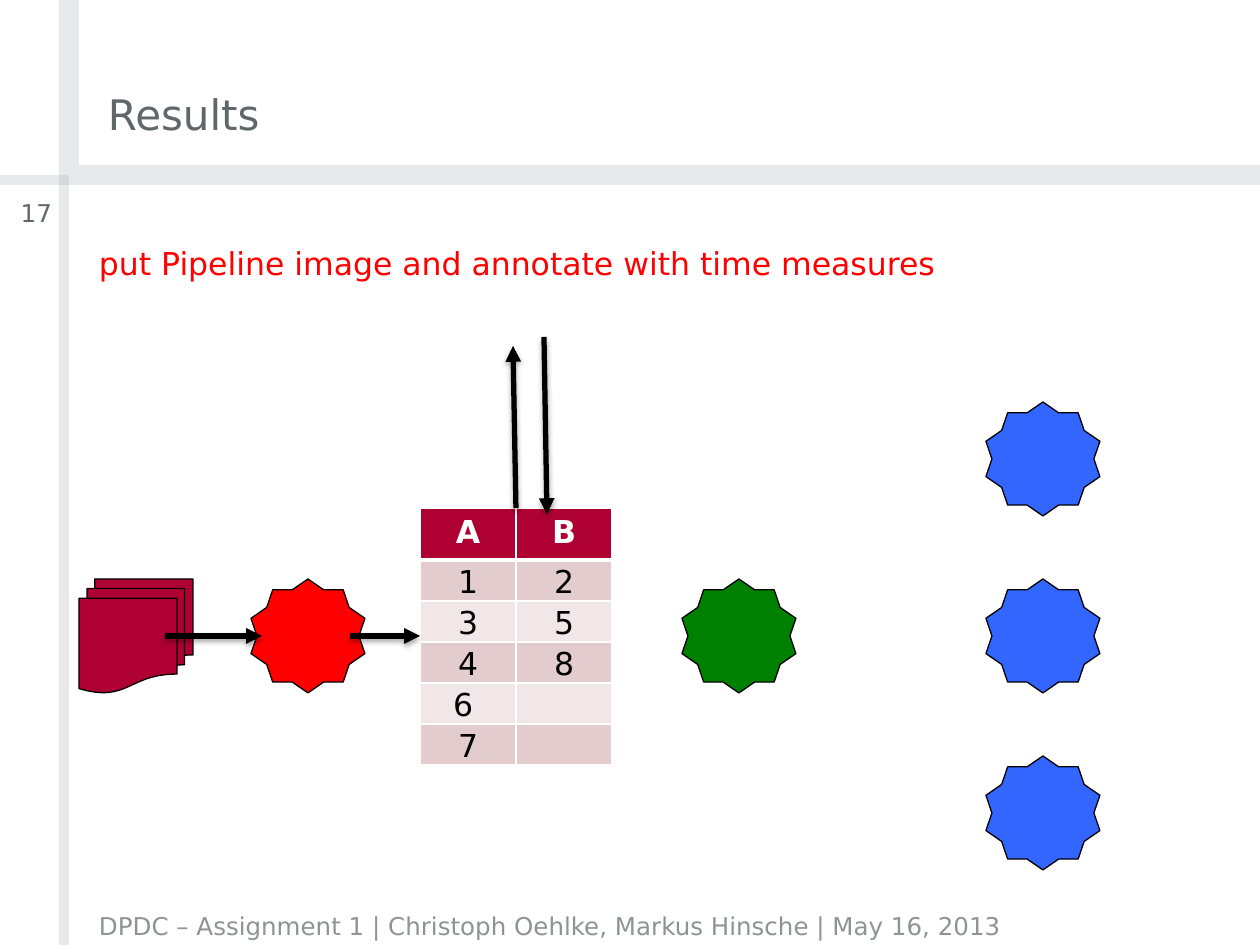
from dataclasses import dataclass, field
from lxml.etree import SubElement
from pptx import Presentation
from pptx.dml.color import RGBColor
from pptx.enum.shapes import MSO_CONNECTOR, MSO_SHAPE as SHAPE
from pptx.enum.text import MSO_ANCHOR as ANCHOR, PP_ALIGN as ALIGN
from pptx.oxml.ns import qn
from pptx.util import Pt

PX = 914400 // 126
FONT = "DejaVu Sans"
BLACK, WHITE, CRIMSON, BLUE = "000000", "FFFFFF", "AF0034", "3366FF"
SLATE, GREY = "60676A", "8E9496"


@dataclass
class Label:
    text: str
    box: tuple[int, int, int, int]
    size: int
    color: str
    frame: dict = field(default_factory=dict)
    para: dict = field(default_factory=dict)


@dataclass
class Node:
    kind: SHAPE
    x: int
    y: int
    color: str


@dataclass
class Arrow:
    start: tuple[int, int]
    end: tuple[int, int]


RAILS = [(59, 0, 20, 165), (59, 165, 1201, 20), (59, 185, 10, 760), (0, 175, 69, 10)]
LABELS = [
    Label("Results", (108, 0, 861, 139), 24, SLATE, {"vertical_anchor": ANCHOR.BOTTOM}),
    Label("put Pipeline image and annotate with time measures", (99, 238, 1126, 660),
          18, "FF0000", para={"line_spacing": 1.15, "space_before": Pt(5.4)}),
    Label("DPDC – Assignment 1 | Christoph Oehlke, Markus Hinsche | May 16, 2013",
          (99, 905, 1126, 35), 14, GREY, {"vertical_anchor": ANCHOR.BOTTOM}),
    Label("17", (0, 198, 52, 45), 14, SLATE, para={"alignment": ALIGN.RIGHT}),
]
NODE_SIZE, MID_Y, STEP = 114, 579, 177
NODES = [
    Node(SHAPE.FLOWCHART_MULTIDOCUMENT, 79, MID_Y, CRIMSON),
    Node(SHAPE.STAR_10_POINT, 251, MID_Y, "FF0000"),
    Node(SHAPE.STAR_10_POINT, 682, MID_Y, "008000"),
    *(Node(SHAPE.STAR_10_POINT, 986, MID_Y + i * STEP, BLUE) for i in (-1, 0, 1)),
]
ROWS = [("A", "B"), ("1", "2"), ("3", "5"), ("4", "8"), ("6 ", ""), ("7", "")]
TABLE_X, TABLE_Y, COL_W, HEAD_H, ROW_H = 420, 508, 96, 52, 41
ARROWS = [
    Arrow((165, 636), (262, 636)),
    Arrow((350, 636), (420, 636)),
    Arrow((516, 508), (513, 346)),
    Arrow((544, 337), (547, 514)),
]


def px(*values: int) -> list[int]:
    return [v * PX for v in values]


def rgb(color: str) -> RGBColor:
    return RGBColor.from_string(color)


def apply(target, values: dict) -> None:
    for name, value in values.items():
        setattr(target, name, value)


def margins(left: int, top: int, right: int, bottom: int) -> dict:
    names = ("margin_left", "margin_top", "margin_right", "margin_bottom")
    return dict(zip(names, px(left, top, right, bottom)))


def write(p, text: str, size: int, color: str, bold: bool = False) -> None:
    r = p.add_run()
    r.text = text
    apply(r.font, {"name": FONT, "size": Pt(size), "bold": bold})
    r.font.color.rgb = rgb(color)


def add_filled(shapes, kind: SHAPE, box: tuple, color: str):
    s = shapes.add_shape(kind, *px(*box))
    s.shadow.inherit = False
    s.fill.solid()
    s.fill.fore_color.rgb = rgb(color)
    return s


def add_rail(shapes, box: tuple) -> None:
    s = add_filled(shapes, SHAPE.RECTANGLE, box, GREY)
    s.line.fill.background()
    clr = s.fill._xPr.find(f".//{qn('a:srgbClr')}")
    SubElement(clr, qn("a:alpha"), val="20000")


def add_label(shapes, label: Label) -> None:
    tf = shapes.add_textbox(*px(*label.box)).text_frame
    apply(tf, {"word_wrap": True, **margins(0, 0, 0, 0), **label.frame})
    p = tf.paragraphs[0]
    apply(p, label.para)
    write(p, label.text, label.size, label.color)


def add_node(shapes, node: Node) -> None:
    s = add_filled(shapes, node.kind, (node.x, node.y, NODE_SIZE, NODE_SIZE), node.color)
    s.line.color.rgb = rgb(BLACK)
    s.line.width = Pt(0.75)


def add_borders(cell, bottom: int, top: int) -> None:
    tcPr = cell._tc.get_or_add_tcPr()
    for side, width in {"L": 1, "R": 1, "T": top, "B": bottom}.items():
        ln = SubElement(tcPr, qn(f"a:ln{side}"), w=str(Pt(width)))
        fill = SubElement(ln, qn("a:solidFill"))
        SubElement(fill, qn("a:srgbClr"), val=WHITE)


def add_values(shapes) -> None:
    height = HEAD_H + ROW_H * (len(ROWS) - 1)
    tbl = shapes.add_table(len(ROWS), 2, *px(TABLE_X, TABLE_Y, 2 * COL_W, height)).table
    for col in tbl.columns:
        col.width = COL_W * PX
    for i, values in enumerate(ROWS):
        head = i == 0
        tbl.rows[i].height = (HEAD_H if head else ROW_H) * PX
        for cell, text in zip(tbl.rows[i].cells, values):
            if not head:
                apply(cell, {"vertical_anchor": ANCHOR.BOTTOM, **margins(1, 1, 1, 0)})
            add_borders(cell, bottom=3 if head else 1, top=3 if i == 1 else 1)
            cell.fill.solid()
            cell.fill.fore_color.rgb = rgb(CRIMSON if head else ("F2E7E8", "E3CCCE")[i % 2])
            p = cell.text_frame.paragraphs[0]
            p.alignment = ALIGN.CENTER
            write(p, text, 18, WHITE if head else BLACK, head)


def add_arrow(shapes, arrow: Arrow) -> None:
    s = shapes.add_connector(MSO_CONNECTOR.STRAIGHT, *px(*arrow.start, *arrow.end))
    s.line.color.rgb = rgb(BLACK)
    s.line.width = Pt(3)
    SubElement(s.line._get_or_add_ln(), qn("a:tailEnd"), type="triangle")
    effects = SubElement(s._element.spPr, qn("a:effectLst"))
    shadow = SubElement(effects, qn("a:outerShdw"), blurRad=str(Pt(3.1)),
                        dist=str(Pt(1.8)), dir="5400000", rotWithShape="0")
    clr = SubElement(shadow, qn("a:srgbClr"), val=BLACK)
    SubElement(clr, qn("a:alpha"), val="35000")


prs = Presentation()
prs.slide_width, prs.slide_height = px(1260, 945)
shapes = prs.slides.add_slide(prs.slide_layouts[6]).shapes
for rail in RAILS:
    add_rail(shapes, rail)
for label in LABELS:
    add_label(shapes, label)
for node in NODES:
    add_node(shapes, node)
add_values(shapes)
for arrow in ARROWS:
    add_arrow(shapes, arrow)
prs.save("out.pptx")
